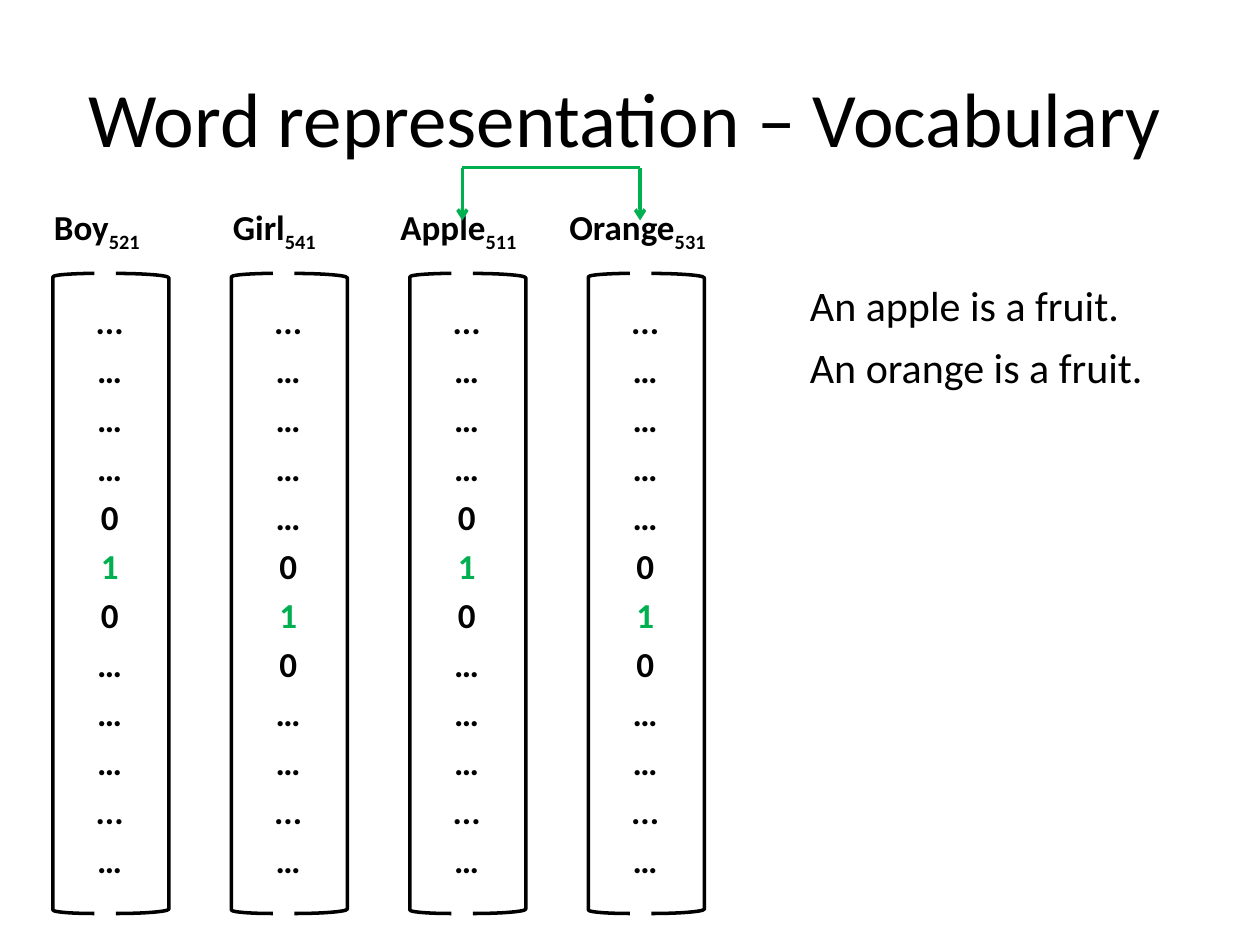
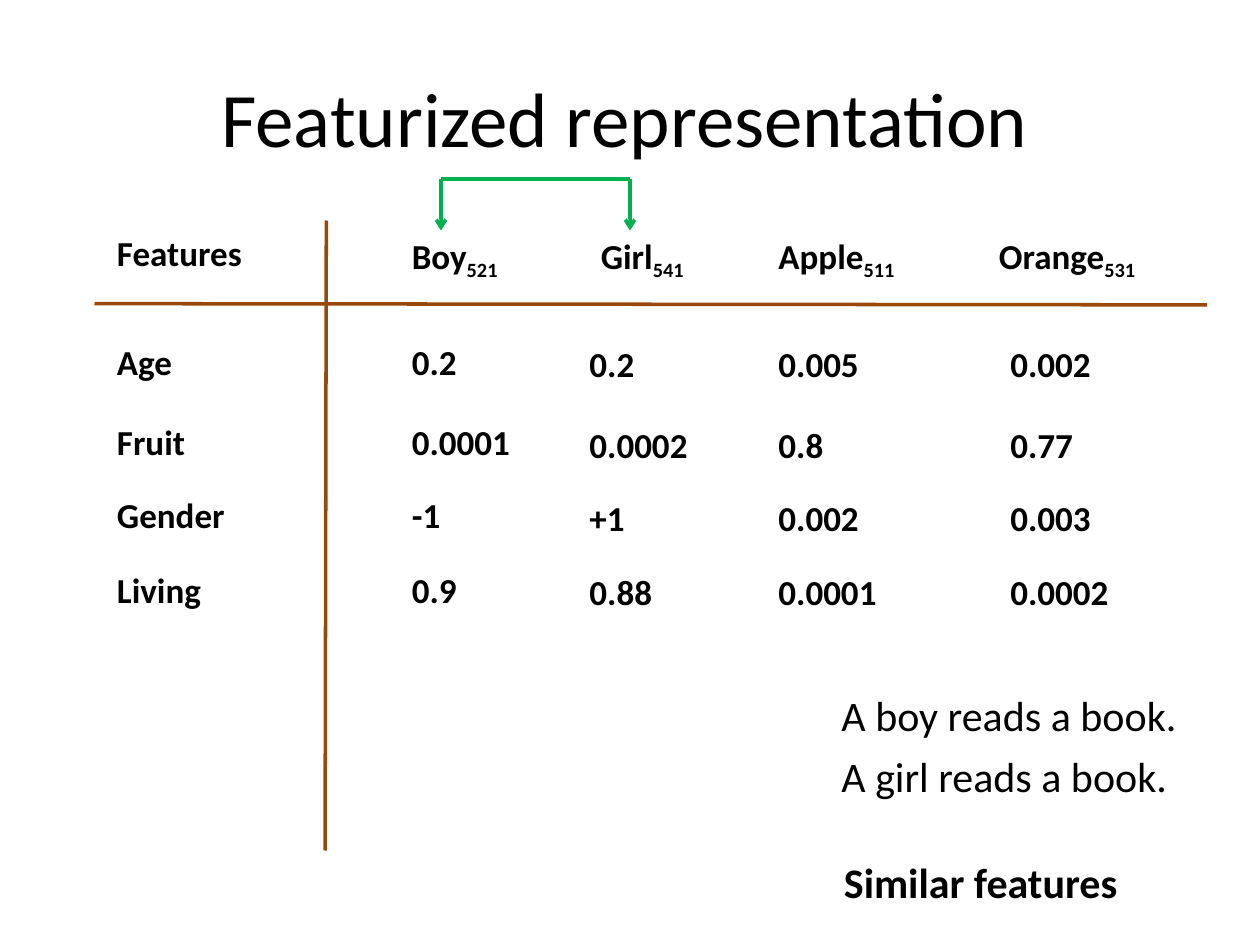
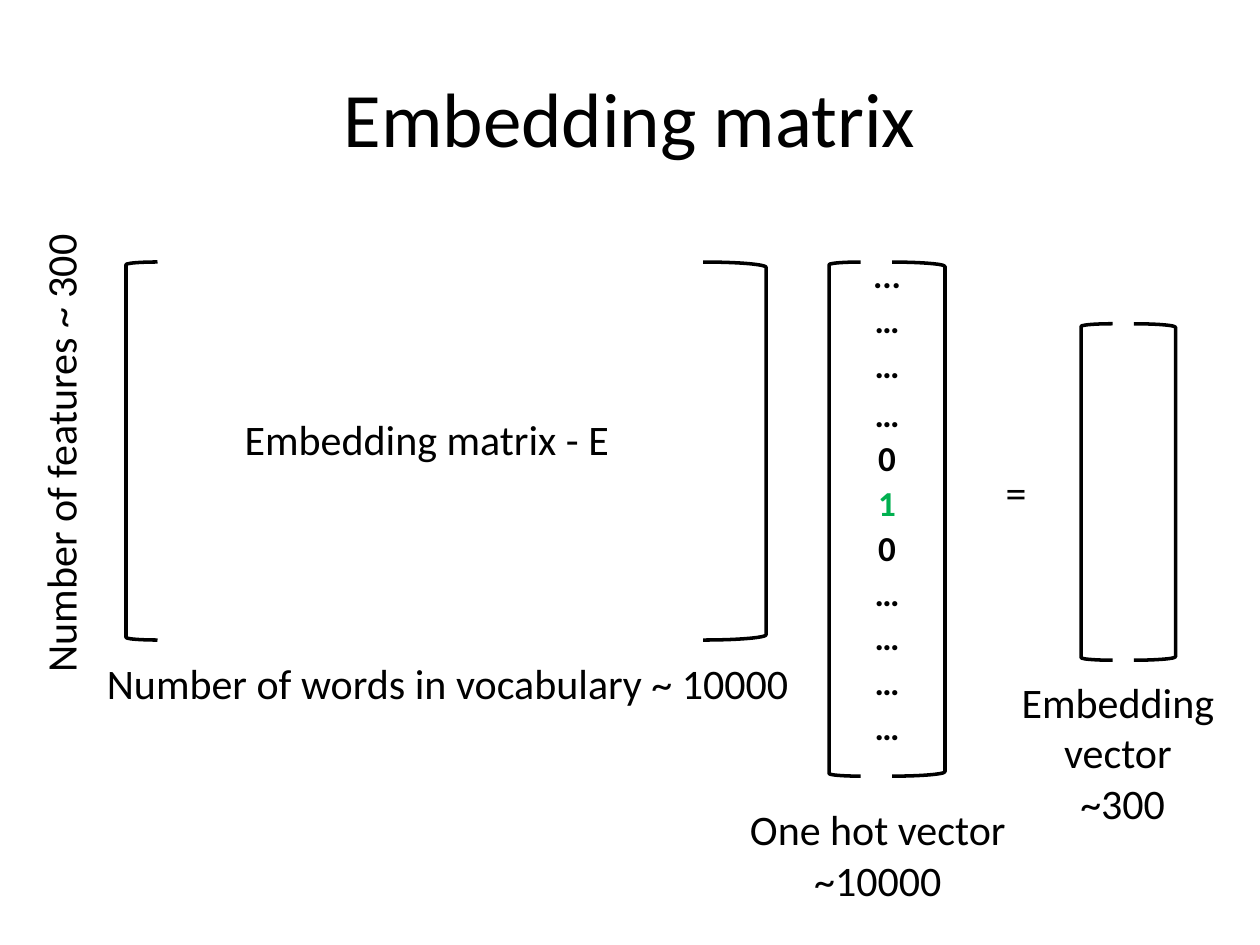
"""Build three slides on word vectors, feature vectors and the embedding matrix."""
from dataclasses import dataclass
from typing import NamedTuple

from lxml.etree import SubElement
from pptx import Presentation
from pptx.dml.color import RGBColor
from pptx.enum.shapes import MSO_CONNECTOR as CONN, MSO_SHAPE as SHAPE
from pptx.enum.text import MSO_ANCHOR as ANCHOR, MSO_AUTO_SIZE as AUTO, PP_ALIGN as ALIGN
from pptx.oxml.ns import qn
from pptx.util import Inches, Pt

FONT = "Calibri"
BLACK = RGBColor(0x00, 0x00, 0x00)
GREEN = RGBColor(0x00, 0xB0, 0x50)
BROWN = RGBColor(0x98, 0x48, 0x07)
LINE_WIDTH = Pt(2)
HANGING = Inches(0.38)


class Box(NamedTuple):
    """A rectangle in inches."""
    left: float
    top: float
    width: float
    height: float

    def lengths(self) -> list:
        """Return the four values as lengths."""
        return [Inches(v) for v in self]


@dataclass(frozen=True)
class Word:
    """A vocabulary word, its index, its label places and its features."""
    name: str
    index: str
    hot_row: int
    label_left: float
    label_width: float
    header_left: float
    value_left: float
    value_drop: float
    features: tuple


@dataclass(frozen=True)
class Brackets:
    """A pair of square brackets around a vector or matrix."""
    left: float
    right: float
    top: float
    height: float
    left_width: float
    right_width: float


WORDS = (
    Word("Boy", "521", 5, 0.33, 1, 3.17, 3.17, 0, ("0.2", "0.0001", "-1", "0.9")),
    Word("Girl", "541", 6, 1.75, 1, 4.67, 4.58, 0.02, ("0.2", "0.0002", "+1", "0.88")),
    Word("Apple", "511", 5, 3.08, 1.17, 6.08, 6.08, 0.02, ("0.005", "0.8", "0.002", "0.0001")),
    Word("Orange", "531", 6, 4.42, 1.33, 7.83, 7.92, 0.02, ("0.002", "0.77", "0.003", "0.0002")),
)
FEATURE_TOPS = {"Age": 2.65, "Fruit": 3.29, "Gender": 3.87, "Living": 4.46}


def style_run(r, *, size: float = 24, bold: bool = False, color: RGBColor = BLACK) -> None:
    """Format one run."""
    r.font.name, r.font.size, r.font.bold = FONT, Pt(size), bold
    r.font.color.rgb = color


def add_text(shapes, box: Box, *lines: str, size: float = 24, bold: bool = False,
             align=ALIGN.LEFT, wrap: bool = False, grow: bool = True,
             subscript: str = "", rotation: float = 0, highlight: str = ""):
    """Add a text box with one paragraph per line and return its frame."""
    sp = shapes.add_textbox(*box.lengths())
    sp.rotation = rotation
    tf = sp.text_frame
    tf.word_wrap = wrap
    tf.auto_size = AUTO.SHAPE_TO_FIT_TEXT if grow else AUTO.NONE
    for i, line in enumerate(lines):
        p = tf.paragraphs[0] if i == 0 else tf.add_paragraph()
        p.alignment = align
        r = p.add_run()
        r.text = line
        style_run(r, size=size, bold=bold, color=GREEN if line == highlight else BLACK)
    if subscript:
        r = p.add_run()
        r.text = subscript
        style_run(r, size=size, bold=bold)
        r.font._element.set("baseline", "-25000")
    return tf


def add_cell(shapes, left: float, top: float, width: float, text: str, subscript: str = "") -> None:
    """Add a bold one-line label or value."""
    add_text(shapes, Box(left, top, width, 0.44), text, size=20, bold=True,
             wrap=True, subscript=subscript)


def add_line(shapes, start: tuple, end: tuple, color: RGBColor, arrow: bool = False) -> None:
    """Add a straight line, with an arrowhead at its end if asked."""
    c = shapes.add_connector(CONN.STRAIGHT, *(Inches(v) for v in (*start, *end)))
    c.line.color.rgb = color
    c.line.width = LINE_WIDTH
    if arrow:
        SubElement(c.line._get_or_add_ln(), qn("a:tailEnd"), type="arrow")
    SubElement(c._element.spPr, qn("a:effectLst"))


def add_link(slide, left: float, right: float, top: float, bottom: float) -> None:
    """Join two words with a green line that points down at both."""
    shapes = slide.shapes.add_group_shape().shapes
    add_line(shapes, (left, top), (right, top), GREEN)
    for x in (right, left):
        add_line(shapes, (x, top), (x, bottom), GREEN, arrow=True)


def add_brackets(shapes, b: Brackets) -> None:
    """Draw a left and a right bracket."""
    for kind, left, width in ((SHAPE.LEFT_BRACKET, b.left, b.left_width),
                              (SHAPE.RIGHT_BRACKET, b.right, b.right_width)):
        sp = shapes.add_shape(kind, *Box(left, b.top, width, b.height).lengths())
        sp.shadow.inherit = False
        sp.fill.background()
        sp.line.color.rgb = BLACK
        sp.line.width = LINE_WIDTH


def add_one_hot(shapes, box: Box, brackets: Brackets, rows: int, hot_row: int,
                dotted: tuple):
    """Draw a bracketed one hot vector and return its paragraphs."""
    entries = ["..." if i in dotted else "…" for i in range(rows)]
    entries[hot_row - 1:hot_row + 2] = "0", "1", "0"
    tf = add_text(shapes, box, *entries, size=20, bold=True, align=ALIGN.CENTER,
                  wrap=True, grow=False, highlight="1")
    for p in tf.paragraphs:
        p.space_before = Pt(4)
        pPr = p._p.get_or_add_pPr()
        pPr.set("marL", str(HANGING))
        pPr.set("indent", str(-HANGING))
    add_brackets(shapes, brackets)
    return tf.paragraphs


def add_sentences(slide, left: float, top: float, sentences: dict) -> None:
    """Stack example sentences, given with their widths."""
    shapes = slide.shapes.add_group_shape().shapes
    for i, (sentence, width) in enumerate(sentences.items()):
        add_text(shapes, Box(left, top + 0.49 * i, width, 0.5), sentence, align=ALIGN.JUSTIFY)


def add_slide(prs, title: str, box: Box = Box(0.42, 0.3, 9.08, 1.25)):
    """Add a title-only slide with its title placed and formatted."""
    slide = prs.slides.add_slide(prs.slide_layouts[5])
    sp = slide.shapes.title
    sp.left, sp.top, sp.width, sp.height = box.lengths()
    tf = sp.text_frame
    tf.text = title
    tf.vertical_anchor = ANCHOR.MIDDLE
    p = tf.paragraphs[0]
    p.alignment = ALIGN.CENTER
    style_run(p.runs[0], size=44)
    return slide


def build_vocabulary(prs) -> None:
    """Show each word as a one hot vector."""
    slide = add_slide(prs, "Word representation – Vocabulary")
    for i, word in enumerate(WORDS):
        shapes = slide.shapes.add_group_shape().shapes
        left = 0.33 + i * 17 / 12
        add_one_hot(shapes, Box(left, 2.33, 1.08, 4.92),
                    Brackets(left + 0.09, left + 0.59, 2.17, 5.08, 0.33, 0.42),
                    rows=12, hot_row=word.hot_row, dotted=(0, 10))
        add_cell(shapes, word.label_left, 1.58, word.label_width, word.name, word.index)
    add_sentences(slide, 6.33, 2.17, {"An apple is a fruit.": 2.68, "An orange is a fruit.": 2.87})
    add_link(slide, 3.67, 5.08, 1.33, 1.75)


def build_features(prs) -> None:
    """Show each word as a column of feature values."""
    slide = add_slide(prs, "Featurized representation")
    header = slide.shapes.add_group_shape().shapes
    for word in WORDS:
        add_cell(header, word.header_left, 1.81, word.label_width, word.name, word.index)
    add_line(header, (0.75, 2.41), (9.58, 2.42), BROWN)
    add_line(header, (2.59, 1.75), (2.58, 6.75), BROWN)
    add_cell(header, 0.83, 1.79, 1.42, "Features")
    for i, (feature, top) in enumerate(FEATURE_TOPS.items()):
        row = slide.shapes.add_group_shape().shapes
        add_cell(row, 0.83, top, 1.42, feature)
        for word in WORDS:
            add_cell(row, word.value_left, top + word.value_drop, 1.08, word.features[i])
    add_link(slide, 3.5, 5, 1.42, 1.83)
    add_sentences(slide, 6.58, 5.42, {"A boy reads a book.": 2.95, "A girl reads a book.": 2.81})
    add_text(slide.shapes, Box(6.6, 6.75, 2.4, 0.5), "Similar features", bold=True)


def build_embedding(prs) -> None:
    """Show the embedding matrix times a one hot vector."""
    slide = add_slide(prs, "Embedding matrix", Box(0.5, 0.3, 9, 1.25))
    shapes = slide.shapes
    add_brackets(shapes, Brackets(1, 5.58, 2.08, 3, 0.25, 0.5))
    paragraphs = add_one_hot(shapes.add_group_shape().shapes, Box(6.5, 2, 1.08, 4.17),
                             Brackets(6.58, 7.08, 2.08, 4.08, 0.25, 0.42),
                             rows=11, hot_row=5, dotted=(0,))
    for i, p in enumerate(paragraphs):
        p.line_spacing = 1.0 if i == 3 else 0.9
    add_text(shapes, Box(-1.38, 3.33, 3.71, 0.5), "Number of features ~ 300", rotation=270)
    add_text(shapes, Box(0.75, 5.17, 5.73, 0.5), "Number of words in vocabulary ~ 10000")
    for box, lines in (
        (Box(5.84, 6.33, 2.33, 0.91), ("One hot vector ", "~10000 ")),
        (Box(1.83, 3.23, 3.19, 0.5), ("Embedding matrix - E ",)),
        (Box(7.88, 3.65, 0.37, 0.5), ("=",)),
        (Box(8, 5.32, 1.82, 1.31), ("Embedding ", "vector ", "~300")),
    ):
        add_text(shapes, box, *lines, align=ALIGN.CENTER)
    add_brackets(shapes.add_group_shape().shapes, Brackets(8.58, 9, 2.57, 2.67, 0.25, 0.33))


def main() -> None:
    """Build and save the presentation."""
    prs = Presentation()
    prs.slide_width, prs.slide_height = Inches(10), Inches(7.5)
    build_vocabulary(prs)
    build_features(prs)
    build_embedding(prs)
    prs.save("out.pptx")


if __name__ == "__main__":
    main()
